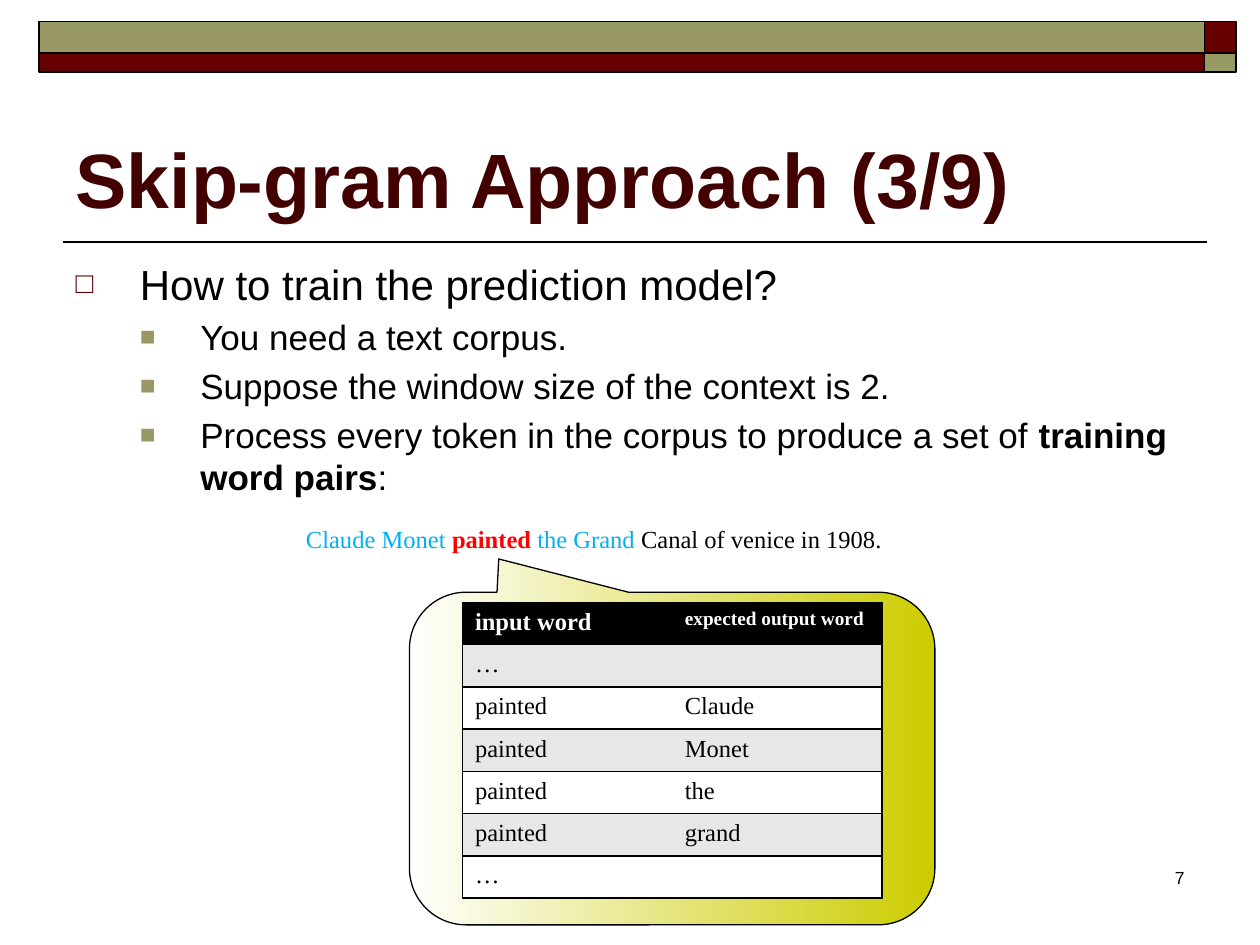
"""Build the Skip-gram slide with its training word pairs table."""
from dataclasses import dataclass
from typing import NamedTuple

from lxml.etree import SubElement
from pptx import Presentation
from pptx.dml.color import RGBColor
from pptx.enum.shapes import MSO_CONNECTOR, MSO_SHAPE
from pptx.enum.text import MSO_ANCHOR, MSO_AUTO_SIZE, PP_ALIGN
from pptx.oxml.ns import qn
from pptx.util import Inches, Pt


@dataclass(frozen=True)
class Theme:
    """Colours, fonts and type sizes."""
    maroon: str = "660000"
    olive: str = "999966"
    title: str = "420000"
    black: str = "000000"
    white: str = "FFFFFF"
    band: str = "E7E7E7"
    context: str = "00B0F0"
    target: str = "FF0000"
    callout: str = "CCCC00"
    sans: str = "Arial"
    serif: str = "Times New Roman"
    title_pt: int = 44
    list_pt: int = 24
    sublist_pt: int = 20
    example_pt: int = 14
    header_pt: int = 11
    number_pt: int = 10


class Box(NamedTuple):
    """Left, top, width and height in percent of the slide."""
    x: float
    y: float
    w: float
    h: float


class Bullet(NamedTuple):
    """Bullet format of one list level."""
    char: str
    color: str
    percent: int
    left: float
    hang: float
    size: int


class Item(NamedTuple):
    """List entry with runs of text and boldness."""
    level: int
    runs: tuple


T = Theme()
WIDTH, HEIGHT = Inches(10), Inches(7.5)
COLS, ROWS = (3.1, 95.6, 98.1), (2.27, 5.6, 7.6)
BAND_COLORS = ((T.olive, T.maroon), (T.maroon, T.olive))
BULLETS = (Bullet("□", T.maroon, 70, 0.51, 0.51, T.list_pt),
           Bullet("■", T.olive, 75, 0.99, 0.48, T.sublist_pt))
ITEMS = (
    Item(0, (("How to train the prediction model?", False),)),
    Item(1, (("You need a text corpus.", False),)),
    Item(1, (("Suppose the window size of the context is 2.", False),)),
    Item(1, (("Process every token in the corpus to produce a set of ", False),
             ("training word pairs", True), (":", False))),
)
EXAMPLE = (("Claude Monet ", T.context, False), ("painted ", T.target, True),
           ("the Grand ", T.context, False), ("Canal of venice in 1908.", T.black, False))
PAIRS = (("input word", "expected output word"), ("…", ""), ("painted", "Claude"),
         ("painted", "Monet"), ("painted", "the"), ("painted", "grand"), ("…", ""))


def place(box: Box) -> tuple:
    """Turn shares of the slide into lengths."""
    return (round(WIDTH * box.x / 100), round(HEIGHT * box.y / 100),
            round(WIDTH * box.w / 100), round(HEIGHT * box.h / 100))


def move(sp, box: Box) -> None:
    """Put a shape at a box."""
    sp.left, sp.top, sp.width, sp.height = place(box)


def rgb(color: str) -> RGBColor:
    """Parse a colour."""
    return RGBColor.from_string(color)


def add_text(p, text: str, *, size: int, color: str = T.black,
             font: str = T.sans, bold: bool = False) -> None:
    """Append a formatted run to a paragraph."""
    r = p.add_run()
    r.text = text
    r.font.size, r.font.name, r.font.bold = Pt(size), font, bold
    r.font.color.rgb = rgb(color)


def add_shape(s, kind, box: Box, color: str, weight: float = 1):
    """Add an outlined shape without shadow."""
    sp = s.shapes.add_shape(kind, *place(box))
    sp.shadow.inherit = False
    sp.fill.solid()
    sp.fill.fore_color.rgb = rgb(color)
    sp.line.color.rgb, sp.line.width = rgb(T.black), Pt(weight)
    return sp


def add_header(s) -> None:
    """Draw the two-tone band and the rule under the title."""
    for row, colors in enumerate(BAND_COLORS):
        for col, color in enumerate(colors):
            box = Box(COLS[col], ROWS[row], COLS[col + 1] - COLS[col],
                      ROWS[row + 1] - ROWS[row])
            add_shape(s, MSO_SHAPE.RECTANGLE, box, color)
    x, y, w, _ = place(Box(5, 25.6, 90.8, 0))
    rule = s.shapes.add_connector(MSO_CONNECTOR.STRAIGHT, x + w, y, x, y)
    rule.line.color.rgb, rule.line.width = rgb(T.black), Pt(1)
    SubElement(rule._element.spPr, qn("a:effectLst"))


def set_bullet(p, bullet: Bullet) -> None:
    """Give a paragraph its indents and bullet."""
    pPr = p._p.get_or_add_pPr()
    pPr.set("marL", str(Inches(bullet.left)))
    pPr.set("indent", str(-Inches(bullet.hang)))
    SubElement(SubElement(pPr, qn("a:buClr")), qn("a:srgbClr"), val=bullet.color)
    SubElement(pPr, qn("a:buSzPct"), val=str(bullet.percent * 1000))
    SubElement(pPr, qn("a:buFont"), typeface=T.sans)
    SubElement(pPr, qn("a:buChar"), char=bullet.char)


def fill_placeholders(s) -> None:
    """Write the title and the list."""
    title, body = s.shapes.title, s.placeholders[1]
    move(title, Box(5, 7.73, 90, 16.67))
    move(body, Box(5, 26.67, 90, 62.67))
    for sp in (title, body):
        sp.text_frame.auto_size = MSO_AUTO_SIZE.NONE
    title.text_frame.vertical_anchor = MSO_ANCHOR.BOTTOM
    p = title.text_frame.paragraphs[0]
    p.alignment = PP_ALIGN.LEFT
    add_text(p, "Skip-gram Approach (3/9)", size=T.title_pt, color=T.title, bold=True)
    tf = body.text_frame
    for i, item in enumerate(ITEMS):
        p = tf.add_paragraph() if i else tf.paragraphs[0]
        p.level = item.level
        bullet = BULLETS[item.level]
        set_bullet(p, bullet)
        for text, bold in item.runs:
            add_text(p, text, size=bullet.size, bold=bold)


def set_borders(cell, col: int) -> None:
    """Rule a cell on every side but the inner one."""
    tcPr = cell._tc.get_or_add_tcPr()
    inner = ("lnR", "lnL")[col]
    for i, side in enumerate(("lnL", "lnR", "lnT", "lnB")):
        ln = tcPr.makeelement(qn(f"a:{side}"), {"w": str(Pt(1))})
        tcPr.insert(i, ln)
        if side == inner:
            SubElement(ln, qn("a:noFill"))
        else:
            SubElement(SubElement(ln, qn("a:solidFill")), qn("a:srgbClr"), val=T.black)


def add_pairs(s) -> None:
    """Add the table of word pairs."""
    box = Box(36.7, 63.73, 33.3, 31.33)
    table = s.shapes.add_table(len(PAIRS), 2, *place(box)).table
    for i, pair in enumerate(PAIRS):
        for j, text in enumerate(pair):
            cell = table.cell(i, j)
            cell.fill.solid()
            cell.fill.fore_color.rgb = rgb((T.band if i % 2 else T.white) if i else T.black)
            set_borders(cell, j)
            p = cell.text_frame.paragraphs[0]
            if text:
                add_text(p, text, size=T.example_pt if i or not j else T.header_pt,
                         color=T.black if i else T.white, font=T.serif, bold=not i)
            else:
                SubElement(p._p, qn("a:endParaRPr"), sz=str(T.example_pt * 100))


def main() -> None:
    """Build and save the slide."""
    prs = Presentation()
    prs.slide_width, prs.slide_height = WIDTH, HEIGHT
    s = prs.slides.add_slide(prs.slide_layouts[1])
    add_header(s)
    fill_placeholders(s)
    number = s.shapes.add_textbox(*place(Box(74.2, 91.07, 20.8, 6.67))).text_frame
    number.word_wrap = True
    number.paragraphs[0].alignment = PP_ALIGN.RIGHT
    add_text(number.paragraphs[0], "7", size=T.number_pt)
    example = s.shapes.add_textbox(*place(Box(23.3, 54.8, 48.1, 4.53))).text_frame
    example.word_wrap, example.auto_size = False, MSO_AUTO_SIZE.SHAPE_TO_FIT_TEXT
    for text, color, bold in EXAMPLE:
        add_text(example.paragraphs[0], text, size=T.example_pt, color=color,
                 font=T.serif, bold=bold)
    callout = add_shape(s, MSO_SHAPE.ROUNDED_RECTANGULAR_CALLOUT,
                        Box(32.5, 62.67, 41.7, 35.2), T.white, 0.75)
    for i, value in enumerate((-0.33, -0.6, 0.17)):
        callout.adjustments[i] = value
    callout.fill.gradient()
    callout.fill.gradient_angle = 0
    for i, (stop, color) in enumerate(zip(callout.fill.gradient_stops, (T.white, T.callout))):
        stop.position, stop.color.rgb = i, rgb(color)
    add_pairs(s)
    prs.save("out.pptx")


if __name__ == "__main__":
    main()
